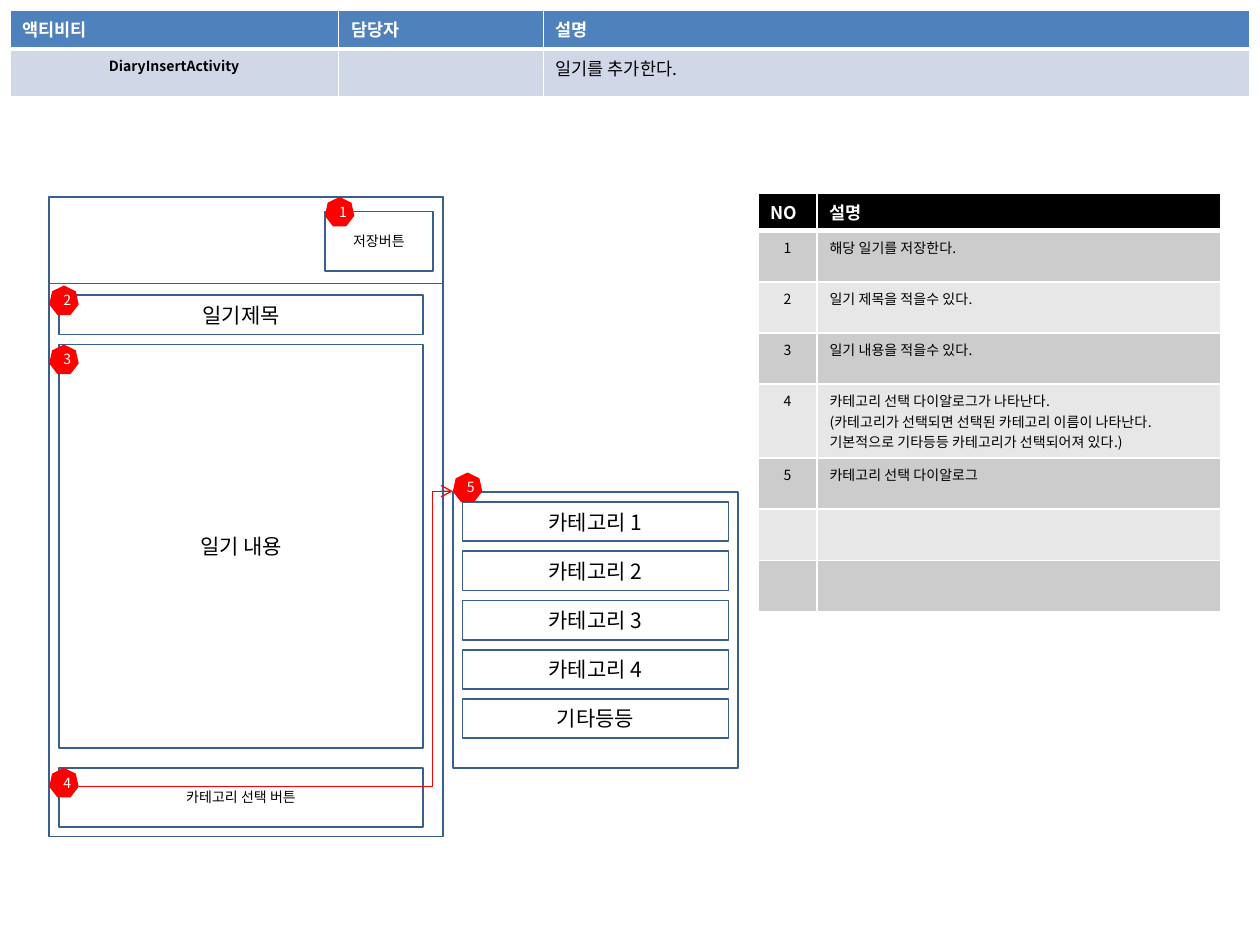
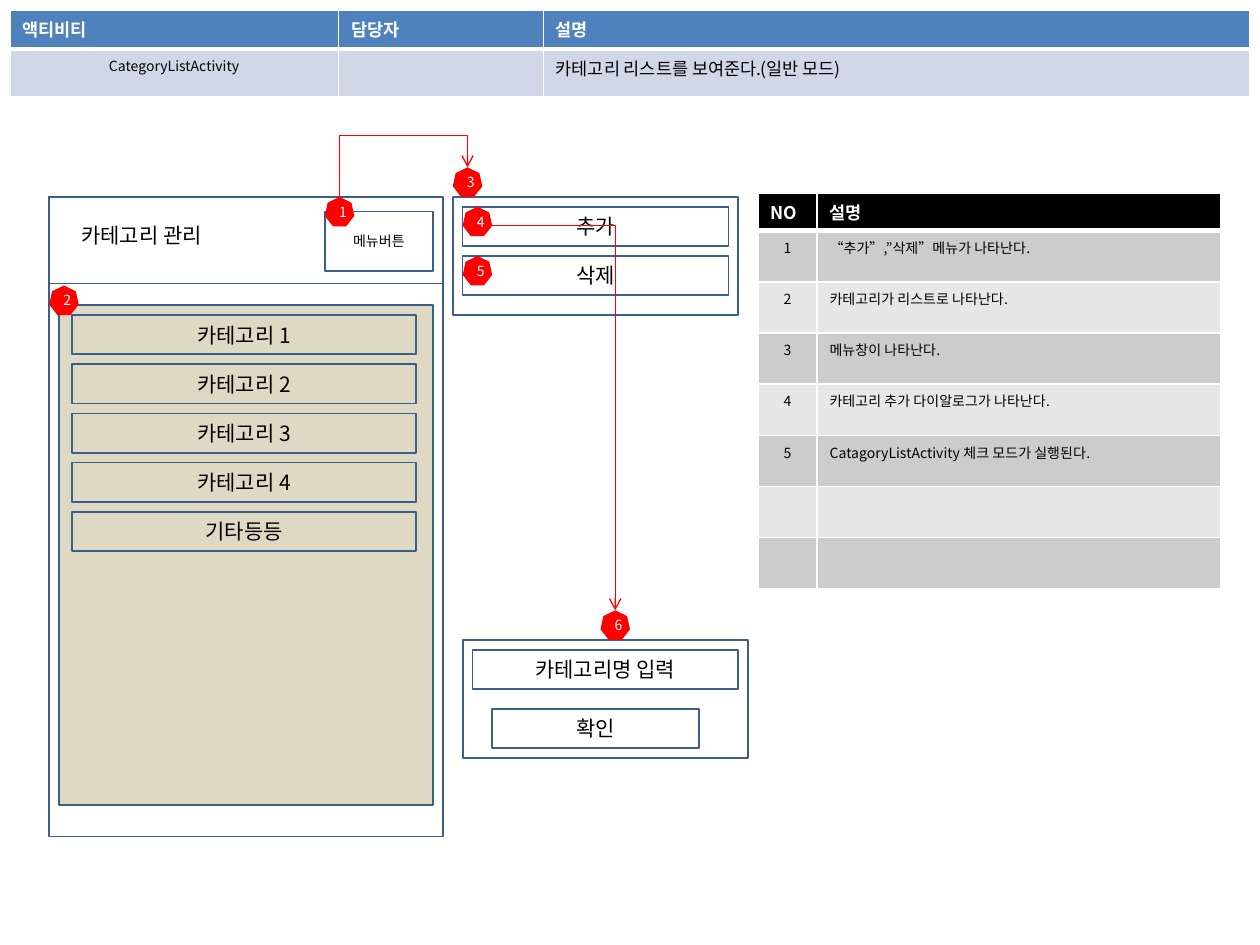
from lxml import etree
from pptx import Presentation
from pptx.dml.color import RGBColor
from pptx.enum.shapes import MSO_CONNECTOR, MSO_SHAPE
from pptx.enum.text import MSO_ANCHOR, PP_ALIGN
from pptx.oxml.ns import qn
from pptx.util import Inches, Pt

FONT = "Noto Sans CJK KR"
WHITE = RGBColor(0xFF, 0xFF, 0xFF)
BLACK = RGBColor(0, 0, 0)
RED = RGBColor(0xFF, 0, 0)
OUTLINE = RGBColor(0x3A, 0x5F, 0x8C)
SAND = RGBColor(0xDD, 0xD9, 0xC3)
BLUE = RGBColor(0x4F, 0x81, 0xBD)
PALE_BLUE = RGBColor(0xD0, 0xD8, 0xE8)
DARK_GRAY = RGBColor(0xCC, 0xCC, 0xCC)
LIGHT_GRAY = RGBColor(0xE7, 0xE7, 0xE7)

WIDTH, HEIGHT = Inches(10), Inches(7.5)
COLUMNS = 128
FIELD_HEIGHT = 4
FIELD_STEP = 5
BADGE = 3
CATEGORIES = ["카테고리 1", "카테고리 2", "카테고리 3", "카테고리 4", "기타등등"]
LEGEND_ROWS = 7


def grid(units):
    return round(WIDTH * units / COLUMNS)


def write(frame, text, size, color=BLACK, bold=False, align=PP_ALIGN.CENTER):
    for index, line in enumerate(text.split("\n")):
        paragraph = frame.add_paragraph() if index else frame.paragraphs[0]
        paragraph.alignment = align
        run = paragraph.add_run()
        run.text = line
        run.font.size = Pt(size)
        run.font.bold = bold
        run.font.color.rgb = color
        run.font.name = FONT
        etree.SubElement(run._r.get_or_add_rPr(), qn("a:ea"), typeface=FONT)


def add_box(slide, x, y, w, h, text="", size=12, fill=None,
            outline=OUTLINE, color=BLACK, kind=MSO_SHAPE.RECTANGLE):
    box = slide.shapes.add_shape(kind, *map(grid, (x, y, w, h)))
    box.shadow.inherit = False
    if fill is None:
        box.fill.background()
    else:
        box.fill.solid()
        box.fill.fore_color.rgb = fill
    if outline is None:
        box.line.fill.background()
    else:
        box.line.color.rgb = outline
        box.line.width = Pt(1)
    if text:
        box.text_frame.vertical_anchor = MSO_ANCHOR.MIDDLE
        write(box.text_frame, text, size, color)


def add_badge(slide, number, x, y):
    add_box(slide, x, y, BADGE, BADGE, str(number), 8, RED, None, WHITE, MSO_SHAPE.HEPTAGON)


def add_fields(slide, x, y, w, labels):
    for index, label in enumerate(labels):
        add_box(slide, x, y + index * FIELD_STEP, w, FIELD_HEIGHT, label)


def add_arrow(slide, start, end, preset, bend=None, turn=0):
    arrow = slide.shapes.add_connector(MSO_CONNECTOR.ELBOW, *map(grid, start + end))
    arrow.line.color.rgb = RED
    arrow.line.width = Pt(0.75)
    properties = arrow.element.spPr
    etree.SubElement(properties.find(qn("a:ln")), qn("a:tailEnd"), type="arrow")
    etree.SubElement(properties, qn("a:effectLst"))
    if turn:
        properties.find(qn("a:xfrm")).set("rot", str(turn * 60000))
    geometry = properties.find(qn("a:prstGeom"))
    geometry.set("prst", preset)
    if bend is not None:
        adjustments = geometry.find(qn("a:avLst"))
        if adjustments is None:
            adjustments = etree.SubElement(geometry, qn("a:avLst"))
        etree.SubElement(adjustments, qn("a:gd"), name="adj1", fmla=f"val {round(bend * 100000)}")


def set_borders(cell, top, bottom):
    properties = cell._tc.get_or_add_tcPr()
    widths = {"a:lnL": 1, "a:lnR": 1, "a:lnT": top, "a:lnB": bottom}
    for index, (side, width) in enumerate(widths.items()):
        border = etree.Element(qn(side), w=str(Pt(width)))
        paint = etree.SubElement(border, qn("a:solidFill"))
        etree.SubElement(paint, qn("a:srgbClr"), val=str(WHITE))
        properties.insert(index, border)


def add_grid_table(slide, x, y, widths, heights, rows, fills, sizes, centered, bold_cells=()):
    table = slide.shapes.add_table(len(rows), len(widths), grid(x), grid(y),
                                   grid(sum(widths)), grid(sum(heights))).table
    for column, width in zip(table.columns, widths):
        column.width = grid(width)
    for r, (values, height) in enumerate(zip(rows, heights)):
        table.rows[r].height = grid(height)
        for c, value in enumerate(values):
            cell = table.cell(r, c)
            cell.fill.solid()
            cell.fill.fore_color.rgb = fills[r]
            header = r == 0
            write(cell.text_frame, value, 10 if header else sizes[c],
                  WHITE if header else BLACK, header or (r, c) in bold_cells,
                  PP_ALIGN.CENTER if not header and c in centered else PP_ALIGN.LEFT)
            set_borders(cell, 3 if r == 1 else 1, 3 if header else 1)


def add_activity_table(slide, activity, description, bold=False):
    add_grid_table(slide, 1, 1, (33.4, 20.8, 71.8), (4, 4),
                   [("액티비티", "담당자", "설명"), (activity, "", description)],
                   [BLUE, PALE_BLUE], (8, 8, 10), {0}, {(1, 0)} if bold else ())


def add_legend(slide, descriptions):
    rows = [("NO", "설명")]
    rows += [(str(n), text) for n, text in enumerate(descriptions, 1)]
    rows += [("", "")] * (LEGEND_ROWS - len(descriptions))
    stripes = [LIGHT_GRAY if r % 2 else DARK_GRAY for r in range(LEGEND_ROWS)]
    add_grid_table(slide, 77, 19.6, (6, 41), [3.5] + [5.2] * LEGEND_ROWS,
                   rows, [BLACK] + stripes, (8, 8), {0})


def add_phone(slide, button):
    add_box(slide, 5, 20, 40, 65)
    add_box(slide, 5, 20, 40, 8.8)
    add_box(slide, 33, 21.5, 11, 6, button, 8)


def start_screen(deck, activity, description, button, legend, bold=False):
    slide = deck.slides.add_slide(deck.slide_layouts[6])
    add_activity_table(slide, activity, description, bold)
    add_phone(slide, button)
    add_legend(slide, legend)
    return slide


def build_diary_insert(deck):
    slide = start_screen(deck, "DiaryInsertActivity", "일기를 추가한다.", "저장버튼", [
        "해당 일기를 저장한다.",
        "일기 제목을 적을수 있다.",
        "일기 내용을 적을수 있다.",
        "카테고리 선택 다이알로그가 나타난다.\n"
        "(카테고리가 선택되면 선택된 카테고리 이름이 나타난다.\n"
        "기본적으로 기타등등 카테고리가 선택되어져 있다.)",
        "카테고리 선택 다이알로그",
    ], bold=True)
    add_box(slide, 6, 30, 37, FIELD_HEIGHT, "일기제목")
    add_box(slide, 6, 35, 37, 41, "일기 내용")
    add_box(slide, 6, 78, 37, 6, "카테고리 선택 버튼", 8)
    add_box(slide, 46, 50, 29, 28)
    add_fields(slide, 47, 51, 27, CATEGORIES)
    badges = [(33, 20), (5, 29), (5, 35), (5, 78), (46, 48)]
    for number, place in enumerate(badges, 1):
        add_badge(slide, number, *place)
    add_arrow(slide, (8, 79.9), (46, 49.9), "bentConnector3", bend=0.945)


def build_category_list(deck):
    slide = start_screen(deck, "CategoryListActivity", "카테고리 리스트를 보여준다.(일반 모드)",
                         "메뉴버튼", [
        "“추가”,”삭제”메뉴가 나타난다.",
        "카테고리가 리스트로 나타난다.",
        "메뉴창이 나타난다.",
        "카테고리 추가 다이알로그가 나타난다.",
        "CatagoryListActivity 체크 모드가 실행된다.",
    ])
    heading = slide.shapes.add_textbox(*map(grid, (7, 22, 22, 3.8))).text_frame
    heading.word_wrap = True
    write(heading, "카테고리 관리", 12, align=PP_ALIGN.LEFT)
    add_box(slide, 46, 20, 29, 12)
    add_fields(slide, 47, 21, 27, ["추가", "삭제"])
    add_box(slide, 6, 31, 38, 50.8, fill=SAND)
    add_fields(slide, 7.3, 32, 35, CATEGORIES)
    add_box(slide, 47, 65, 29, 12)
    add_box(slide, 48, 66, 27, FIELD_HEIGHT, "카테고리명 입력")
    add_box(slide, 50, 72, 21, FIELD_HEIGHT, "확인")
    badges = [(33, 20), (5, 29), (46, 17), (47, 21), (47, 26), (61, 62)]
    for number, place in enumerate(badges, 1):
        add_badge(slide, number, *place)
    add_arrow(slide, (42.5, 25), (39.5, 12), "bentConnector3", bend=2.067, turn=90)
    add_arrow(slide, (50, 22.9), (62.5, 62), "bentConnector2")


def main():
    deck = Presentation()
    deck.slide_width, deck.slide_height = WIDTH, HEIGHT
    build_diary_insert(deck)
    build_category_list(deck)
    deck.save("out.pptx")


main()
